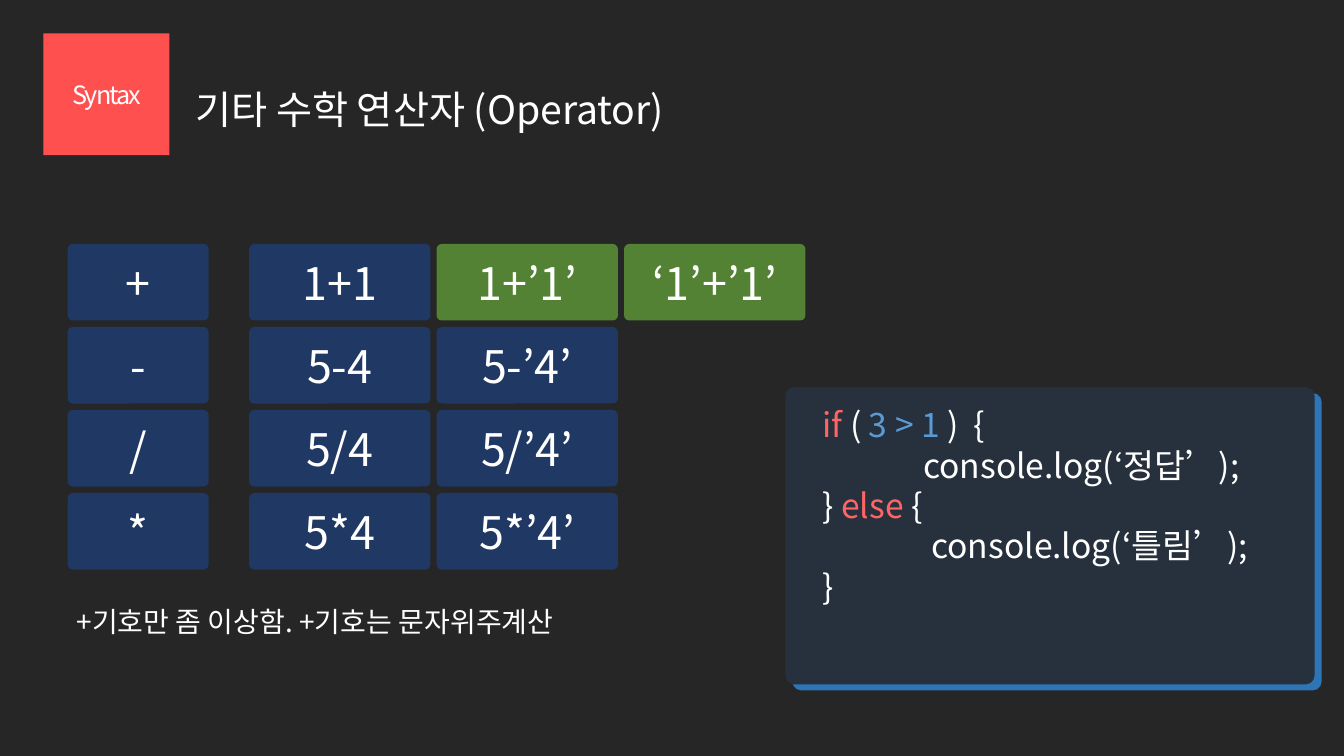
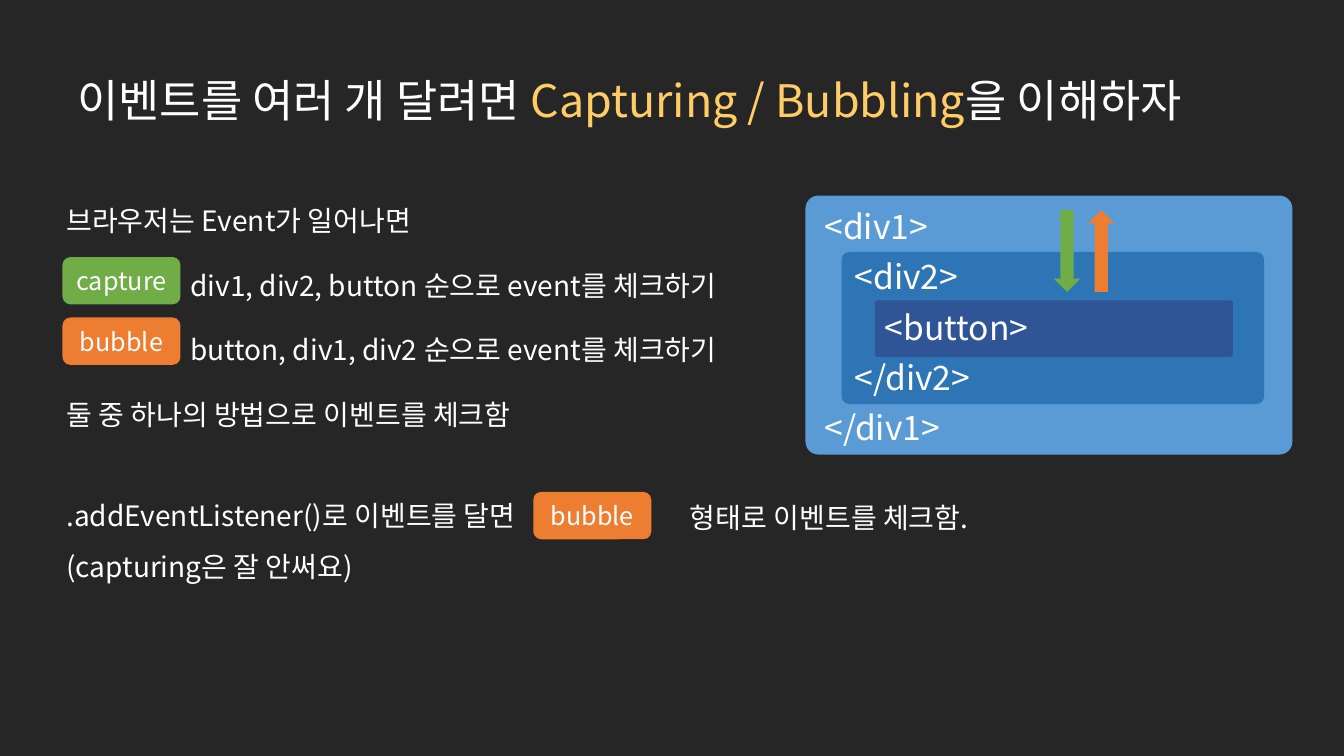
from lxml import etree
from pptx import Presentation
from pptx.dml.color import RGBColor
from pptx.enum.shapes import MSO_SHAPE as Shape
from pptx.enum.text import MSO_ANCHOR as Anchor, PP_ALIGN as Align
from pptx.oxml.ns import qn
from pptx.util import Inches, Pt

FONT = "Noto Sans CJK KR"
COLOURS = {
    "background": "262626", "text": "FFFFFF", "highlight": "FFCC66",
    "tag": "FF5050", "panel": "27303D", "keyword": "FF6565",
    "outer": "5B9BD5", "middle": "2E75B6", "inner": "2F5597",
    "cell": "203864", "odd_cell": "548235",
    "capture": "70AD47", "bubble": "ED7D31",
}
WIDTH, HEIGHT = Inches(13.33), Inches(7.5)


def colour(name):
    return RGBColor.from_string(COLOURS[name])


def share(left, top, width, height):
    """Turn percentages of the slide's width and height into lengths."""
    return (int(WIDTH * left / 100), int(HEIGHT * top / 100),
            int(WIDTH * width / 100), int(HEIGHT * height / 100))


def add_slide(presentation):
    slide = presentation.slides.add_slide(presentation.slide_layouts[6])
    slide.background.fill.solid()
    slide.background.fill.fore_color.rgb = colour("background")
    return slide


def format_run(run, size, name="text"):
    run.font.size = Pt(size)
    run.font.color.rgb = colour(name)
    run.font.name = FONT
    east_asian = etree.SubElement(run.font._element, qn("a:ea"))
    east_asian.set("typeface", FONT)


def fill_paragraph(paragraph, content, size, indent=0, line=1.0, before=0):
    """Write a string, or a list of (text, colour name) runs."""
    properties = paragraph._p.get_or_add_pPr()
    properties.set("marL", str(Inches(indent)))
    properties.set("indent", "0")
    paragraph.line_spacing = line
    paragraph.space_before = Pt(before)
    runs = [(content, "text")] if isinstance(content, str) else content
    for text, name in runs:
        run = paragraph.add_run()
        run.text = text
        format_run(run, size, name)


def add_text(slide, box, paragraphs, size, anchor=Anchor.TOP):
    """Add a text box from (content, paragraph options) pairs."""
    frame = slide.shapes.add_textbox(*share(*box)).text_frame
    frame.word_wrap = True
    frame.vertical_anchor = anchor
    for index, (content, options) in enumerate(paragraphs):
        paragraph = frame.add_paragraph() if index else frame.paragraphs[0]
        fill_paragraph(paragraph, content, size, **options)


def add_title(slide, box, content, size, line):
    add_text(slide, box, [(content, {"line": line})], size, Anchor.MIDDLE)


def add_block(slide, box, fill, kind=Shape.ROUNDED_RECTANGLE, corner=None):
    shape = slide.shapes.add_shape(kind, *share(*box))
    shape.shadow.inherit = False
    shape.fill.solid()
    shape.fill.fore_color.rgb = colour(fill)
    shape.line.fill.background()
    if corner is not None:
        shape.adjustments[0] = corner
    return shape


def add_label(slide, box, text, size, fill, corner=None):
    shape = add_block(slide, box, fill, corner=corner)
    frame = shape.text_frame
    frame.vertical_anchor = Anchor.MIDDLE
    frame.text = text
    frame.paragraphs[0].alignment = Align.CENTER
    run = frame.paragraphs[0].runs[0]
    format_run(run, size)
    return run


def add_operator_grid(slide):
    rows = [
        ["+", "1+1", "1+’1’", "‘1’+’1’"],
        ["-", "5-4", "5-’4’"],
        ["/", "5/4", "5/’4’"],
        ["*", "5*4", "5*’4’"],
    ]
    top, row_pitch, height = 32.27, 10.98, 10.13
    columns = [(5.03, 10.5)] + [(18.53 + 13.95 * i, 13.5) for i in range(3)]
    for row, texts in enumerate(rows):
        for column, ((left, width), text) in enumerate(zip(columns, texts)):
            odd = row == 0 and column >= 2
            add_label(slide, (left, top + row * row_pitch, width, height),
                      text, 32, "odd_cell" if odd else "cell", 0.07)


def add_code_panel(slide):
    left, top, width, height = 58.43, 51.2, 39.38, 39.33
    add_block(slide, (left + 0.53, top + 0.8, width, height), "middle",
              corner=0.03)
    add_block(slide, (left, top, width, height), "panel", corner=0.03)
    add_text(slide, (60.45, 52.8, 36.6, 28.27), [
        ([("if ", "keyword"), ("( ", "text"), ("3 > 1 ", "outer"),
          (")  {", "text")], {}),
        ("console.log(‘정답’);", {"indent": 1}),
        ([("} ", "text"), ("else ", "keyword"), ("{", "text")], {}),
        ("console.log(‘틀림’);", {"indent": 1.08}),
        ("}", {}),
    ], 24)


def add_nested_elements(slide):
    for box, fill in [
        ((59.93, 25.87, 36.23, 34.27), "outer"),
        ((62.63, 33.33, 31.43, 20.13), "middle"),
        ((65.1, 39.73, 26.63, 7.47), "inner"),
    ]:
        add_block(slide, box, fill, corner=0.05)
    tags = [("<div1>", 0), ("<div2>", 1), ("<button>", 2),
            ("</div2>", 1), ("</div1>", 0)]
    add_text(slide, (60.6, 27.2, 32.78, 33.07), [
        (tag, {"indent": 0.3 * depth, "line": 0.9,
               "before": 10 if index else 0})
        for index, (tag, depth) in enumerate(tags)], 24)


def add_event_arrow(slide, left, fill, rotation):
    arrow = add_block(slide, (left, 31.47, 6.08, 3.47), fill,
                      Shape.RIGHT_ARROW)
    arrow.rotation = rotation


def build_operators(presentation):
    slide = add_slide(presentation)
    add_title(slide, (13.8, 6.27, 78.45, 13.2),
              "기타 수학 연산자 (Operator)", 28, 1.5)
    tag = add_label(slide, (3.23, 4.4, 9.38, 16.13), "Syntax", 18, "tag", 0)
    tag.font._element.set("spc", "-150")
    add_code_panel(slide)
    add_operator_grid(slide)
    add_text(slide, (4.95, 79.33, 37.5, 5.87),
             [("+기호만 좀 이상함. +기호는 문자위주계산", {})], 20)


def build_events(presentation):
    slide = add_slide(presentation)
    add_title(slide, (5.03, 4, 93.68, 19.33), [
        ("이벤트를 여러 개 달려면 ", "text"),
        ("Capturing / Bubbling", "highlight"),
        ("을 이해하자", "text"),
    ], 32, 0.9)
    step = {"line": 1.5, "before": 10}
    add_text(slide, (4.2, 25.87, 55, 63.33), [
        ("브라우저는 Event가 일어나면", {"line": 1.1}),
        ("div1, div2, button 순으로 event를 체크하기", {**step, "indent": 1.23}),
        ("button, div1, div2 순으로 event를 체크하기", {**step, "indent": 1.23}),
        ("둘 중 하나의 방법으로 이벤트를 체크함", step),
        (".addEventListener()로 이벤트를 달면", {"line": 1.1, "before": 46}),
        ("(capturing은 잘 안써요)", {"line": 1.1, "before": 10}),
    ], 20)
    sentence_top = 65.07
    add_text(slide, (50.6, sentence_top, 40, 6.27),
             [("형태로 이벤트를 체크함.", {"line": 1.1})], 20)
    add_nested_elements(slide)
    for left, top, text in [(4.65, 34, "capture"), (4.65, 42, "bubble"),
                            (39.68, sentence_top, "bubble")]:
        add_label(slide, (left, top, 8.78, 6.27), text, 18, text)
    add_event_arrow(slide, 78.9, "bubble", 270)
    add_event_arrow(slide, 76.35, "capture", 90)


def main():
    presentation = Presentation()
    presentation.slide_width, presentation.slide_height = WIDTH, HEIGHT
    build_operators(presentation)
    build_events(presentation)
    presentation.save("out.pptx")


if __name__ == "__main__":
    main()
